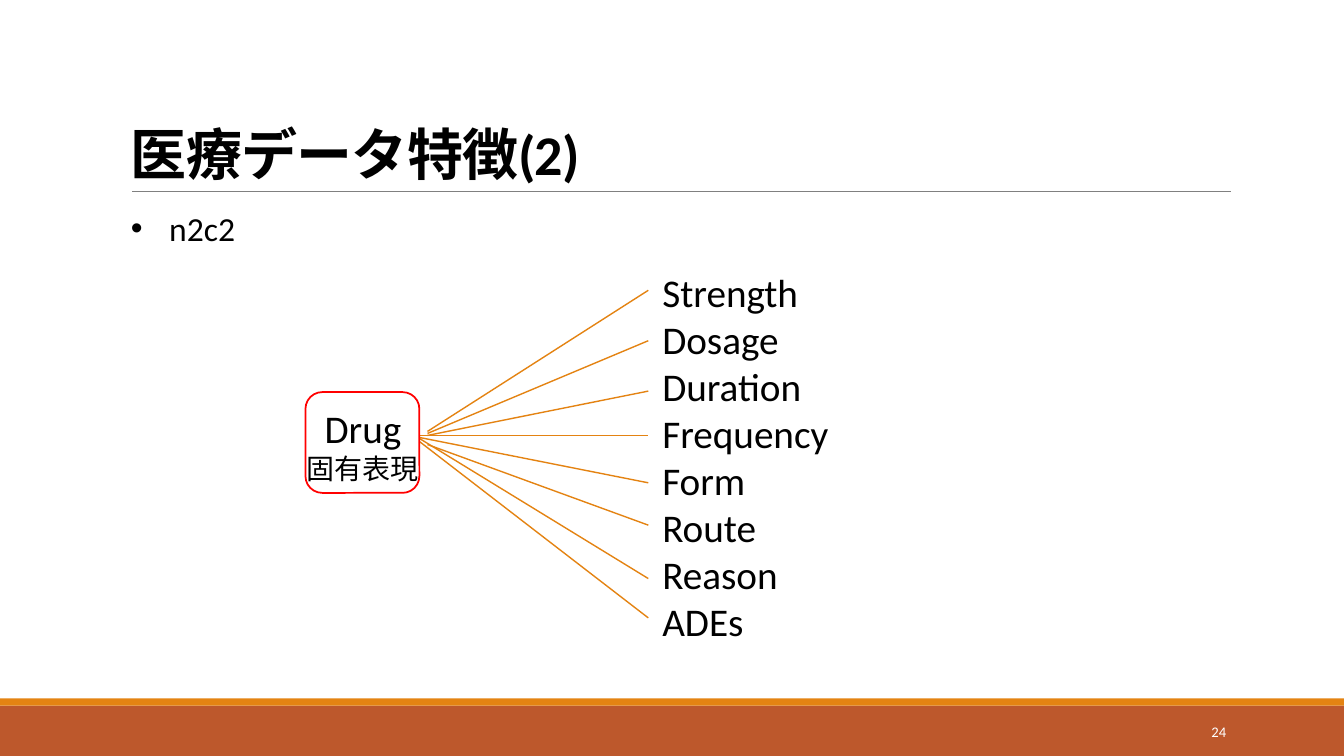
from lxml.etree import SubElement
from pptx import Presentation
from pptx.dml.color import RGBColor
from pptx.enum.shapes import MSO_CONNECTOR, MSO_SHAPE
from pptx.enum.text import MSO_ANCHOR, PP_ALIGN
from pptx.oxml.ns import qn
from pptx.util import Inches, Pt

COLORS = {
    "text": "000000",
    "paper": "FFFFFF",
    "band": "BD582C",
    "accent": "E48312",
    "rule": "808080",
    "entity": "FF0000",
}
LATIN, JAPANESE = "Calibri", "Noto Sans CJK JP"


class SlideBuilder:
    def __init__(self, slide):
        self.slide = slide

    def box(self, left, top, width, height, fill=None, line=None, weight=1,
            preset=MSO_SHAPE.RECTANGLE):
        shape = self.slide.shapes.add_shape(
            preset, Inches(left), Inches(top), Inches(width), Inches(height))
        shape.shadow.inherit = False
        if fill:
            shape.fill.solid()
            shape.fill.fore_color.rgb = RGBColor.from_string(COLORS[fill])
        else:
            shape.fill.background()
        if line:
            shape.line.color.rgb = RGBColor.from_string(COLORS[line])
            shape.line.width = Pt(weight)
        else:
            shape.line.fill.background()

    def line(self, start, end, color="accent", weight=1):
        connector = self.slide.shapes.add_connector(
            MSO_CONNECTOR.STRAIGHT, *(Inches(value) for value in (*start, *end)))
        connector.line.color.rgb = RGBColor.from_string(COLORS[color])
        connector.line.width = Pt(weight)
        SubElement(connector._element.spPr, qn("a:effectLst"))

    def text(self, left, top, width, height, lines, align=PP_ALIGN.LEFT,
             anchor=MSO_ANCHOR.TOP, color="text"):
        """Add a text box; each line is a list of (words, size, font) runs."""
        frame = self.slide.shapes.add_textbox(
            Inches(left), Inches(top), Inches(width), Inches(height)).text_frame
        frame.word_wrap = True
        frame.vertical_anchor = anchor
        for index, runs in enumerate(lines):
            paragraph = frame.paragraphs[0] if index == 0 else frame.add_paragraph()
            paragraph.alignment = align
            for words, size, font in runs:
                run = paragraph.add_run()
                run.text = words
                run.font.size = Pt(size)
                run.font.name = font
                run.font.color.rgb = RGBColor.from_string(COLORS[color])
                SubElement(run.font._element, qn("a:ea"), typeface=JAPANESE)
        return frame

    def title(self, *place, runs):
        frame = self.text(*place, [runs], anchor=MSO_ANCHOR.BOTTOM)
        paragraph = frame.paragraphs[0]
        paragraph.line_spacing = 0.85
        for run in paragraph.runs:
            run.font.bold = True
            run.font._element.set("spc", "-50")

    def bullet(self, *place, words, size):
        frame = self.text(*place, [[(words, size, LATIN)]])
        properties = frame.paragraphs[0]._p.get_or_add_pPr()
        properties.set("marL", str(Inches(0.38)))
        properties.set("indent", str(Inches(-0.38)))
        SubElement(properties, qn("a:buFont"), typeface="Arial")
        SubElement(properties, qn("a:buChar"), char="•")


def main():
    deck = Presentation()
    deck.slide_width, deck.slide_height = Inches(13.33), Inches(7.5)
    page = SlideBuilder(deck.slides.add_slide(deck.slide_layouts[6]))

    page.box(0, 7, 13.33, 0.5, fill="band")
    page.box(0, 6.93, 13.33, 0.07, fill="accent")
    page.line((1.31, 1.9), (12.21, 1.9), "rule", 0.5)
    page.title(1.2, 0.31, 11, 1.59,
               runs=[("医療データ特徴", 40, JAPANESE), ("(2)", 40, LATIN)])
    page.text(10.83, 7.06, 1.43, 0.4, [[("24", 10.5, LATIN)]],
              PP_ALIGN.RIGHT, MSO_ANCHOR.MIDDLE, "paper")
    page.bullet(1.2, 2.01, 10.69, 0.5, words="n2c2", size=24)

    page.text(2.87, 3.96, 1.46, 0.91,
              [[("Drug", 28, LATIN)], [("固有表現", 20, LATIN)]], PP_ALIGN.CENTER)

    # Each attribute with the start of its line (x, y) and the height of its end
    attributes = [
        ("Strength", (4.24, 4.28), 2.88),
        ("Dosage", (4.24, 4.3), 3.38),
        ("Duration", (4.24, 4.32), 3.88),
        ("Frequency", (4.16, 4.32), 4.32),
        ("Form", (4.16, 4.34), 4.79),
        ("Route", (4.24, 4.41), 5.21),
        ("Reason", (4.16, 4.35), 5.74),
        ("ADEs", (4.16, 4.38), 6.13),
    ]
    page.text(6.47, 2.61, 2.01, 3.87,
              [[(attribute, 28, LATIN)] for attribute, _, _ in attributes])
    for _, start, end_height in attributes:
        page.line(start, (6.43, end_height))
    page.box(3.03, 3.89, 1.13, 1, line="entity", weight=1.25,
             preset=MSO_SHAPE.ROUNDED_RECTANGLE)

    deck.save("out.pptx")


if __name__ == "__main__":
    main()
